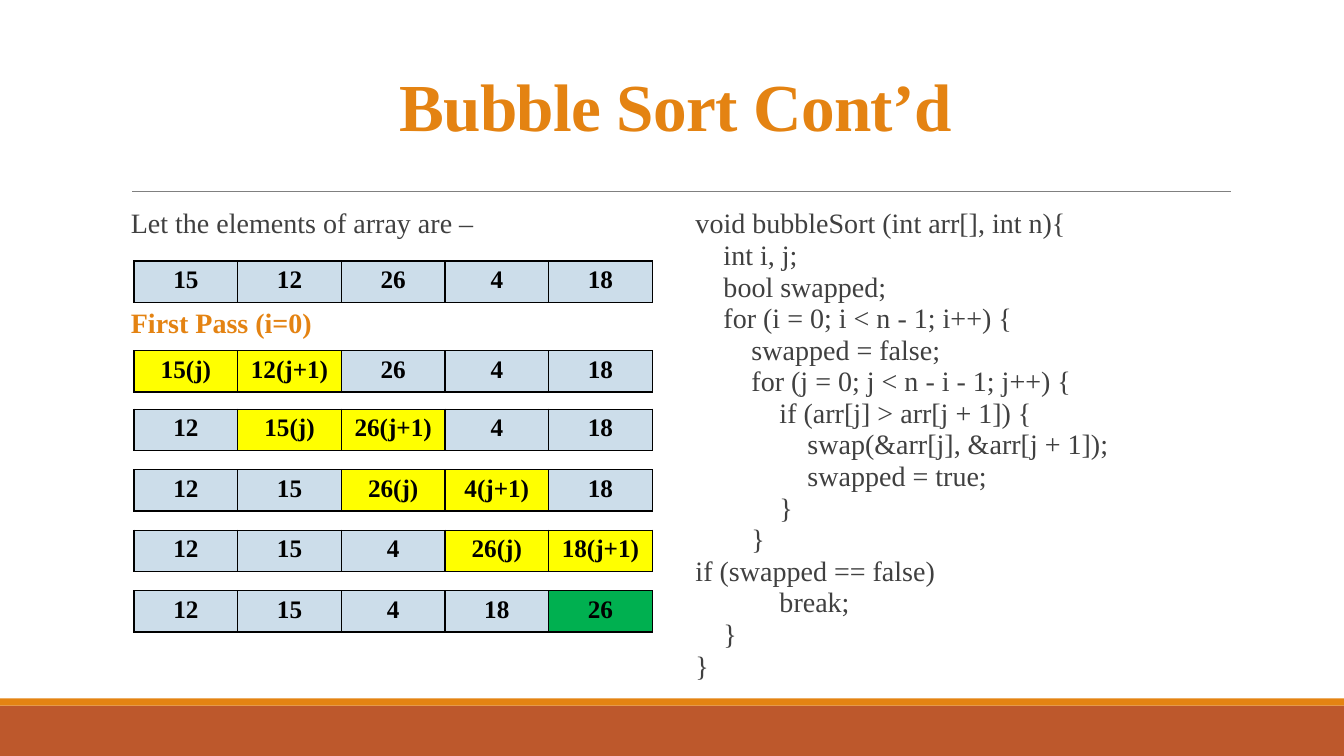
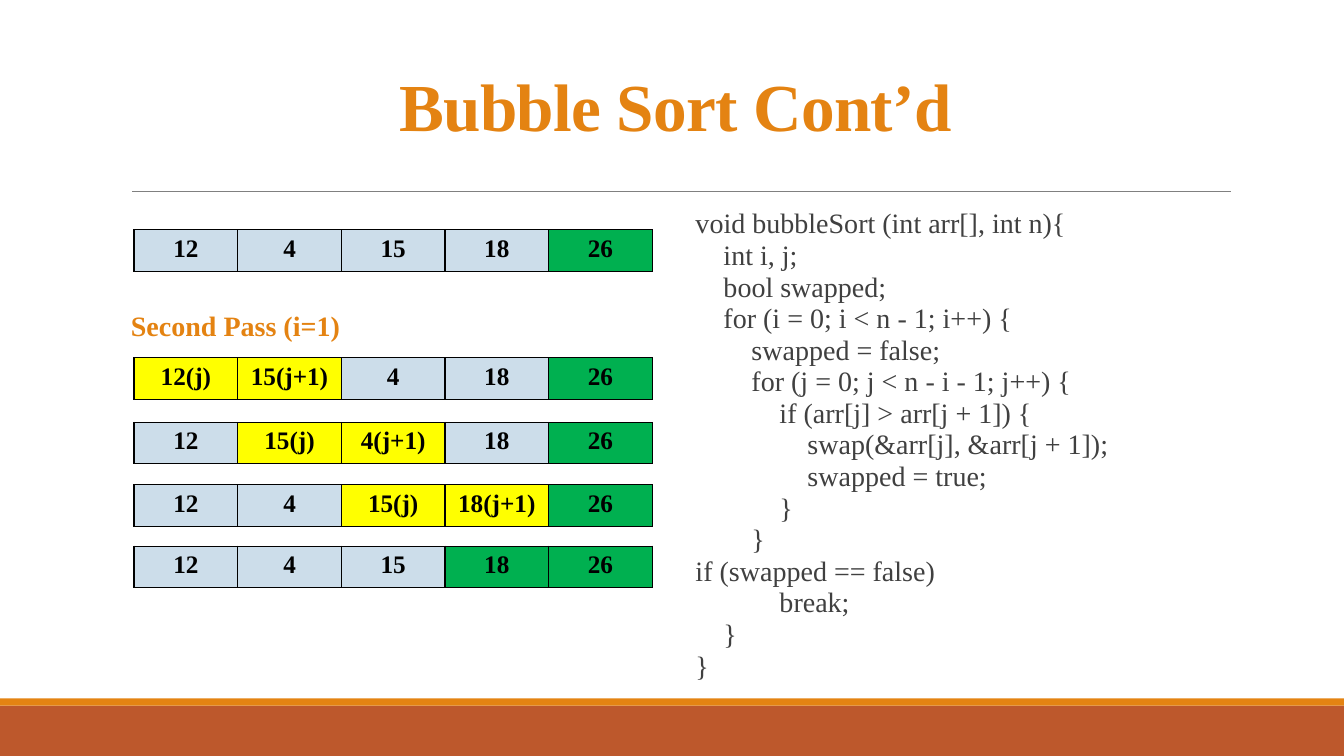
from lxml import etree
from pptx import Presentation
from pptx.dml.color import RGBColor
from pptx.enum.shapes import MSO_CONNECTOR, MSO_SHAPE
from pptx.enum.text import MSO_ANCHOR, PP_ALIGN
from pptx.oxml import parse_xml
from pptx.oxml.ns import nsdecls, qn
from pptx.util import Inches, Pt

ORANGE = RGBColor(0xE4, 0x83, 0x12)
RUST = RGBColor(0xBD, 0x58, 0x2C)
GRAY = RGBColor(0x80, 0x80, 0x80)
DARK = RGBColor(0x40, 0x40, 0x40)
BLACK = RGBColor(0, 0, 0)
UNSORTED = RGBColor(0xCC, 0xDD, 0xEA)
COMPARED = RGBColor(0xFF, 0xFF, 0x00)
SORTED = RGBColor(0x00, 0xB0, 0x50)
FONT = "Times New Roman"

CODE = """void bubbleSort (int arr[], int n){
    int i, j;
    bool swapped;
    for (i = 0; i < n - 1; i++) {
        swapped = false;
        for (j = 0; j < n - i - 1; j++) {
            if (arr[j] > arr[j + 1]) {
                swap(&arr[j], &arr[j + 1]);
                swapped = true;
            }
        }
if (swapped == false)
            break;
    }
}"""

# Each label: text, top, colour, bold. Each array: top, values, sorted count.
PASSES = [
    {
        "labels": [
            ("Let the elements of array are –", 2.02, DARK, False),
            ("First Pass (i=0)", 3.01, ORANGE, True),
        ],
        "arrays": [
            (2.59, "15 12 26 4 18", 0),
            (3.48, "15(j) 12(j+1) 26 4 18", 0),
            (4.06, "12 15(j) 26(j+1) 4 18", 0),
            (4.66, "12 15 26(j) 4(j+1) 18", 0),
            (5.26, "12 15 4 26(j) 18(j+1)", 0),
            (5.86, "12 15 4 18 26", 1),
        ],
    },
    {
        "labels": [("Second Pass (i=1)", 3.04, ORANGE, True)],
        "arrays": [
            (2.28, "12 4 15 18 26", 1),
            (3.55, "12(j) 15(j+1) 4 18 26", 1),
            (4.19, "12 15(j) 4(j+1) 18 26", 1),
            (4.81, "12 4 15(j) 18(j+1) 26", 1),
            (5.42, "12 4 15 18 26", 2),
        ],
    },
]


def write(frame, text, size=20, color=DARK, bold=False,
          align=PP_ALIGN.LEFT, spacing=1.0, tracking=None):
    """Fill a text frame, one paragraph per line of text."""
    frame.word_wrap = True
    for number, line in enumerate(text.split("\n")):
        paragraph = frame.add_paragraph() if number else frame.paragraphs[0]
        paragraph.alignment = align
        paragraph.line_spacing = spacing
        run = paragraph.add_run()
        run.text = line
        run.font.name = FONT
        run.font.size = Pt(size)
        run.font.bold = bold
        run.font.color.rgb = color
        if tracking is not None:
            run.font._element.set("spc", str(tracking))


def add_border(cell):
    """Draw a thin black line on every side of a table cell."""
    properties = cell._tc.get_or_add_tcPr()
    for side in ("lnL", "lnR", "lnT", "lnB"):
        properties.append(parse_xml(
            f'<a:{side} {nsdecls("a")} w="{Pt(1)}"><a:solidFill>'
            f'<a:srgbClr val="{BLACK}"/></a:solidFill></a:{side}>'))


deck = Presentation()
deck.slide_width = Inches(13.33)
deck.slide_height = Inches(7.5)

for sort_pass in PASSES:
    slide = deck.slides.add_slide(deck.slide_layouts[6])
    shapes = slide.shapes

    # Footer bands
    for top, height, color in ((7, 0.5, RUST), (6.93, 0.07, ORANGE)):
        band = shapes.add_shape(MSO_SHAPE.RECTANGLE, 0, Inches(top),
                                deck.slide_width, Inches(height))
        band.shadow.inherit = False
        band.fill.solid()
        band.fill.fore_color.rgb = color
        band.line.fill.background()

    # Title and rule
    title = shapes.add_textbox(Inches(1.2), Inches(0.31), Inches(11), Inches(1.59))
    title.text_frame.vertical_anchor = MSO_ANCHOR.MIDDLE
    write(title.text_frame, "Bubble Sort Cont’d", size=48, color=ORANGE,
          bold=True, align=PP_ALIGN.CENTER, spacing=0.85, tracking=-50)
    rule = shapes.add_connector(MSO_CONNECTOR.STRAIGHT, Inches(1.31), Inches(1.9),
                                Inches(12.21), Inches(1.9))
    rule.line.color.rgb = GRAY
    rule.line.width = Pt(0.5)
    etree.SubElement(rule._element.spPr, qn("a:effectLst"))

    # Code
    code = shapes.add_textbox(Inches(6.8), Inches(2.02), Inches(5.4), Inches(4.85))
    write(code.text_frame, CODE, spacing=0.94)

    # Labels
    for text, top, color, bold in sort_pass["labels"]:
        label = shapes.add_textbox(Inches(1.2), Inches(top), Inches(5.4), Inches(0.4))
        write(label.text_frame, text, color=color, bold=bold, spacing=0.94)

    # Array states
    for top, state, sorted_count in sort_pass["arrays"]:
        values = state.split()
        array = shapes.add_table(1, len(values), Inches(1.33), Inches(top),
                                 Inches(5.14), Inches(0.41)).table
        array.first_row = False
        array.horz_banding = False
        for index, value in enumerate(values):
            cell = array.cell(0, index)
            add_border(cell)
            cell.fill.solid()
            if "(j" in value:
                cell.fill.fore_color.rgb = COMPARED
            elif index >= len(values) - sorted_count:
                cell.fill.fore_color.rgb = SORTED
            else:
                cell.fill.fore_color.rgb = UNSORTED
            write(cell.text_frame, value, size=18, color=BLACK, bold=True,
                  align=PP_ALIGN.CENTER)

deck.save("out.pptx")
